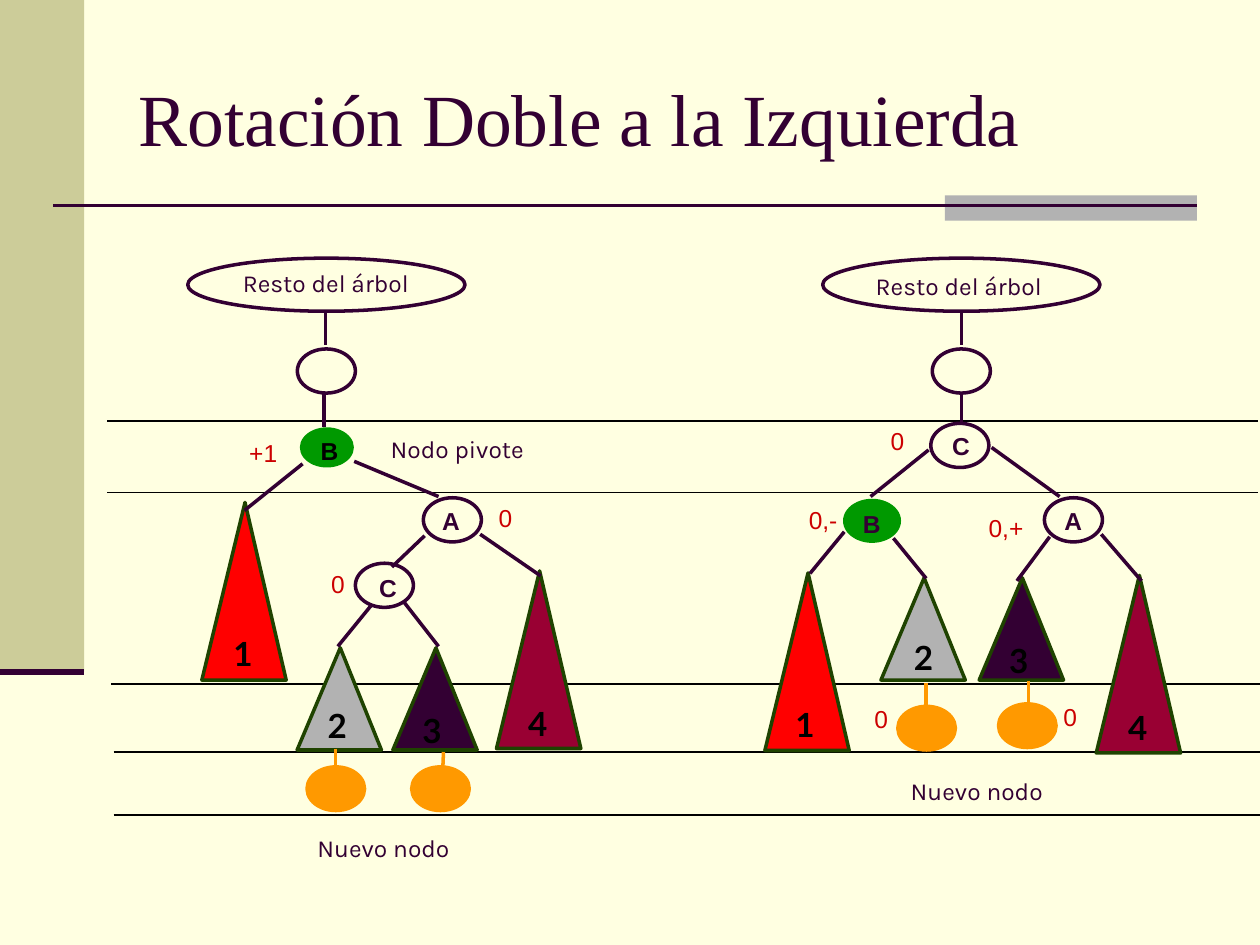
from lxml import etree
from pptx import Presentation
from pptx.dml.color import RGBColor
from pptx.enum.shapes import MSO_CONNECTOR, MSO_SHAPE
from pptx.enum.text import MSO_ANCHOR, MSO_AUTO_SIZE, PP_ALIGN
from pptx.oxml.ns import qn
from pptx.util import Cm, Pt

STRAIGHT = MSO_CONNECTOR.STRAIGHT
OVAL, RECTANGLE = MSO_SHAPE.OVAL, MSO_SHAPE.RECTANGLE
MIDDLE = MSO_ANCHOR.MIDDLE
LEFT = PP_ALIGN.LEFT
FIXED, GROW = MSO_AUTO_SIZE.NONE, MSO_AUTO_SIZE.SHAPE_TO_FIT_TEXT

THEME = {
    "paper": "FFFFE1", "ink": "330033", "black": "000000",
    "band": "CCCC99", "gray": "B2B2B2", "outline": "1F4300",
    "red": "FF0000", "wine": "990033", "green": "009900",
    "orange": "FF9900", "balance": "CC0000",
    "title": dict(font="Times New Roman", size=42, color="ink"),
    "note": dict(font="Karla", size=14, color="ink"),
    "key": dict(font="Arial", size=14, color="ink", bold=True),
    "pivot key": dict(font="Arial", size=14, color="black", bold=True),
    "factor": dict(font="Arial", size=14, color="balance"),
    "subtree": dict(font="Lato", size=19, color="black", bold=True),
}

# All positions and lengths are in centimetres.
SLIDE_SIZE = (25.4, 19.05)
TITLE = "Rotación Doble a la Izquierda"
TITLE_BOX = (2.54, 0.78, 21.59, 3.18)
LEVELS = [(2.16, 8.48), (2.16, 9.93), (2.24, 13.79), (2.29, 15.16), (2.29, 16.43)]
LEVEL_WIDTH = 23.19

# Kind: width, height, fill, line colour, line width
NODES = {
    "rest": (5.59, 1.07, None, "ink", 2),
    "node": (1.17, 0.89, None, "ink", 2),
    "pivot": (1.09, 0.81, "green", None, 0),
    "moved pivot": (1.17, 0.89, "green", None, 0),
    "new": (1.09, 0.81, "orange", "orange", 4),
}
SUBTREE_WIDTH, APEX_OFFSET = 1.70, 0.87
SUBTREES = {"1": ("red", 3.58), "2": ("gray", 2.06),
            "3": ("ink", 2.06), "4": ("wine", 3.58)}

# nodes: kind, centre; subtrees: name, left, top; edges: from, to;
# labels: text, style, centre
BEFORE = {
    "nodes": [("rest", 6.58, 5.74), ("node", 6.58, 7.48), ("pivot", 6.59, 9.02),
              ("node", 9.12, 10.48), ("node", 7.75, 11.8),
              ("new", 6.77, 15.9), ("new", 8.88, 15.9)],
    "subtrees": [("1", 4.07, 10.13), ("2", 5.99, 13.06),
                 ("3", 7.92, 13.06), ("4", 10.01, 11.51)],
    "edges": [(6.56, 6.3, 6.56, 6.96), (6.53, 7.95, 6.53, 8.61),
              (4.93, 10.29, 6.1, 9.35), (7.14, 9.3, 8.84, 10.01),
              (8.56, 10.8, 7.9, 11.43), (9.68, 10.77, 10.9, 11.61),
              (7.47, 12.22, 6.81, 13.03), (8.13, 12.12, 8.84, 13.03)],
    "new edges": [(6.76, 15.09, 6.76, 15.47), (8.94, 15.16, 8.92, 15.65)],
    "labels": [("Resto del árbol", "note", 6.65, 5.7),
               ("Nodo pivote", "note", 9.3, 9.04),
               ("Nuevo nodo", "note", 7.84, 17.08),
               ("B", "pivot key", 6.65, 9.08), ("A", "key", 9.1, 10.5),
               ("C", "key", 7.83, 11.85), ("+1", "factor", 5.31, 9.13),
               ("0", "factor", 6.82, 11.77), ("0", "factor", 10.2, 10.43),
               ("1", "subtree", 4.89, 13.18), ("2", "subtree", 6.79, 14.63),
               ("3", "subtree", 8.7, 14.72), ("4", "subtree", 10.83, 14.58)],
}
AFTER = {
    "nodes": [("rest", 19.38, 5.74), ("node", 19.38, 7.48), ("node", 19.35, 8.98),
              ("moved pivot", 17.58, 10.5), ("node", 21.64, 10.48),
              ("new", 18.68, 14.68), ("new", 20.71, 14.63)],
    "subtrees": [("1", 15.42, 11.55), ("2", 17.76, 11.65),
                 ("3", 19.74, 11.65), ("4", 22.1, 11.6)],
    "edges": [(19.38, 6.3, 19.38, 6.96), (19.38, 7.9, 19.38, 8.56),
              (17.55, 10.01, 18.72, 9.07), (19.99, 9.02, 21.36, 10.01),
              (16.33, 11.56, 17.02, 10.72), (18.01, 10.85, 18.67, 11.66),
              (21.16, 10.82, 20.5, 11.71), (22.2, 10.77, 23.01, 11.71)],
    "new edges": [(18.67, 13.77, 18.67, 14.25), (20.73, 13.72, 20.73, 14.2)],
    "labels": [("Resto del árbol", "note", 19.41, 5.75),
               ("Nuevo nodo", "note", 19.8, 15.94),
               ("C", "key", 19.38, 8.98), ("B", "key", 17.58, 10.55),
               ("A", "key", 21.64, 10.5), ("0", "factor", 18.1, 8.88),
               ("0,-", "factor", 16.6, 10.48), ("0,+", "factor", 20.29, 10.63),
               ("0", "factor", 17.77, 14.49), ("0", "factor", 21.58, 14.44),
               ("1", "subtree", 16.22, 14.61), ("2", "subtree", 18.61, 13.26),
               ("3", "subtree", 20.53, 13.32), ("4", "subtree", 22.93, 14.66)],
}
LABEL_WIDTHS = {"Resto del árbol": 4.01, "Nodo pivote": 3.35, "Nuevo nodo": 3.38,
                "+1": 1.07, "0": 0.79, "0,-": 1.09, "0,+": 1.22}
LETTER_WIDTH = 0.87


def rgb(name):
    return RGBColor.from_string(THEME[name])


def paint(shape, fill, line=None, width=0):
    shape.shadow.inherit = False
    if fill:
        shape.fill.solid()
        shape.fill.fore_color.rgb = rgb(fill)
    else:
        shape.fill.background()
    if line:
        shape.line.color.rgb = rgb(line)
        shape.line.width = Pt(width)
    else:
        shape.line.fill.background()


def add_line(slide, ends, color, width):
    line = slide.shapes.add_connector(STRAIGHT, *map(Cm, ends))
    line.line.color.rgb = rgb(color)
    line.line.width = Pt(width)
    etree.SubElement(line._element.spPr, qn("a:effectLst"))


def write(frame, text, font, size, color, bold=False):
    para = frame.paragraphs[0]
    para.alignment = LEFT
    span = para.add_run()
    span.text = text
    span.font.name, span.font.size = font, Pt(size)
    span.font.bold = bold
    span.font.color.rgb = rgb(color)


def add_label(slide, text, style, x, y):
    width = LABEL_WIDTHS.get(text, LETTER_WIDTH)
    height = 1.07 if style == "subtree" else 0.84
    box = slide.shapes.add_textbox(Cm(x - width / 2), Cm(y - height / 2),
                                   Cm(width), Cm(height))
    box.text_frame.word_wrap = False
    box.text_frame.auto_size = GROW
    write(box.text_frame, text, **THEME[style])


def add_node(slide, kind, x, y):
    width, height, *look = NODES[kind]
    oval = slide.shapes.add_shape(OVAL, Cm(x - width / 2), Cm(y - height / 2),
                                  Cm(width), Cm(height))
    paint(oval, *look)


def add_subtree(slide, name, left, top):
    fill, height = SUBTREES[name]
    base = top + height
    builder = slide.shapes.build_freeform(Cm(left + APEX_OFFSET), Cm(top))
    builder.add_line_segments([(Cm(left), Cm(base)),
                               (Cm(left + SUBTREE_WIDTH), Cm(base))], close=True)
    paint(builder.convert_to_shape(), fill, "outline", 2)


def add_frame(slide):
    """Draw the side band, the title rule and the title."""
    for place, fill in [((0, 0, 1.7, 13.54), "band"), ((19.05, 3.94, 5.08, 0.51), "gray")]:
        paint(slide.shapes.add_shape(RECTANGLE, *map(Cm, place)), fill)
    add_line(slide, (1.07, 4.14, 24.13, 4.14), "ink", 1.5)
    add_line(slide, (0, 13.54, 1.7, 13.54), "ink", 3.5)
    title = slide.shapes.title
    title.left, title.top, title.width, title.height = map(Cm, TITLE_BOX)
    title.text_frame.vertical_anchor = MIDDLE
    title.text_frame.auto_size = FIXED
    write(title.text_frame, TITLE, **THEME["title"])


def add_tree(slide, tree):
    for subtree in tree["subtrees"]:
        add_subtree(slide, *subtree)
    for node in tree["nodes"]:
        add_node(slide, *node)
    for group, color in [("edges", "ink"), ("new edges", "orange")]:
        for ends in tree[group]:
            add_line(slide, ends, color, 2)
    for label in tree["labels"]:
        add_label(slide, *label)


def main():
    deck = Presentation()
    deck.slide_width, deck.slide_height = map(Cm, SLIDE_SIZE)
    slide = deck.slides.add_slide(deck.slide_layouts[5])
    slide.background.fill.solid()
    slide.background.fill.fore_color.rgb = rgb("paper")
    add_frame(slide)
    for left, y in LEVELS:
        right = min(left + LEVEL_WIDTH, SLIDE_SIZE[0])
        add_line(slide, (left, y, right, y), "black", 1)
    for tree in (BEFORE, AFTER):
        add_tree(slide, tree)
    deck.save("out.pptx")


if __name__ == "__main__":
    main()
